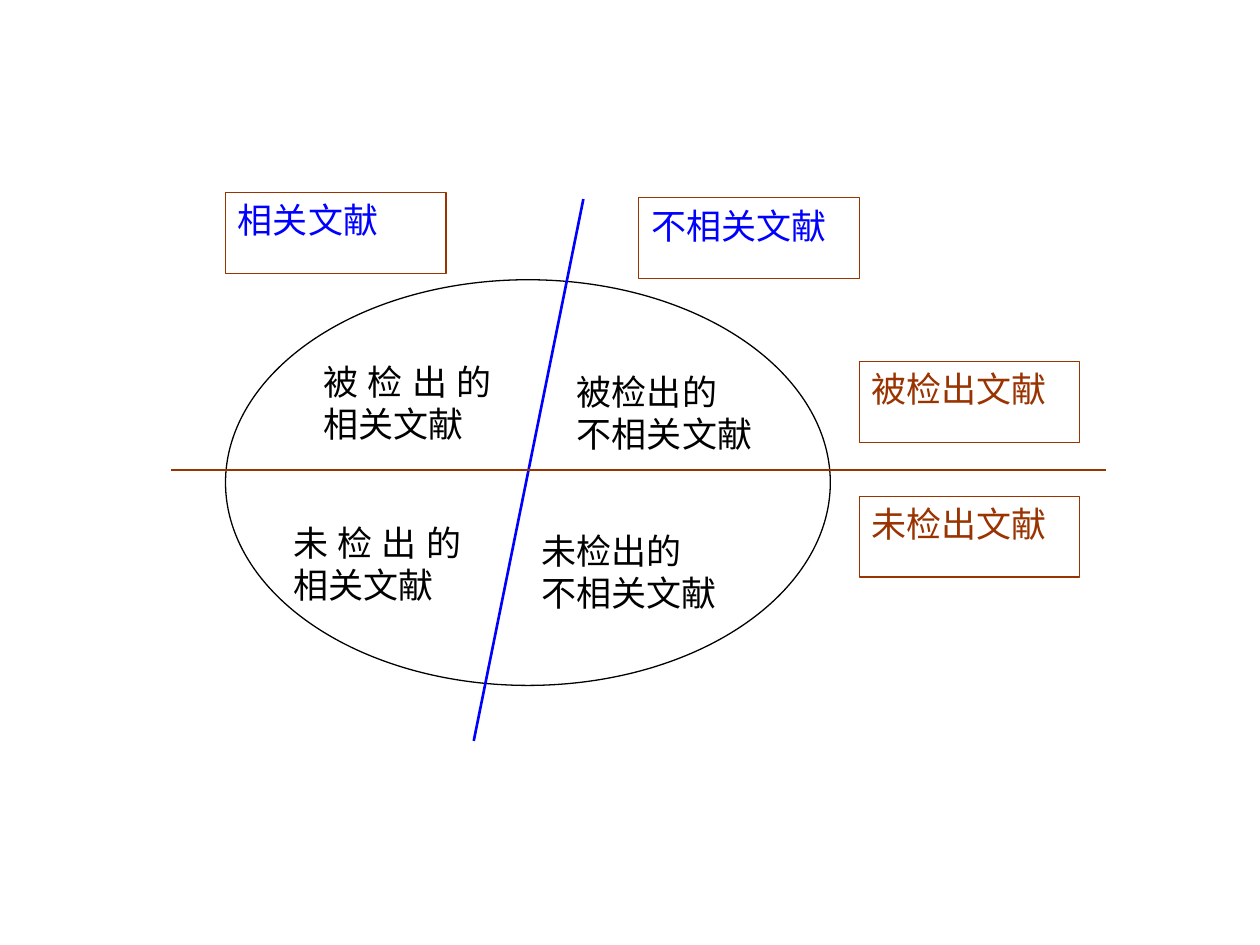
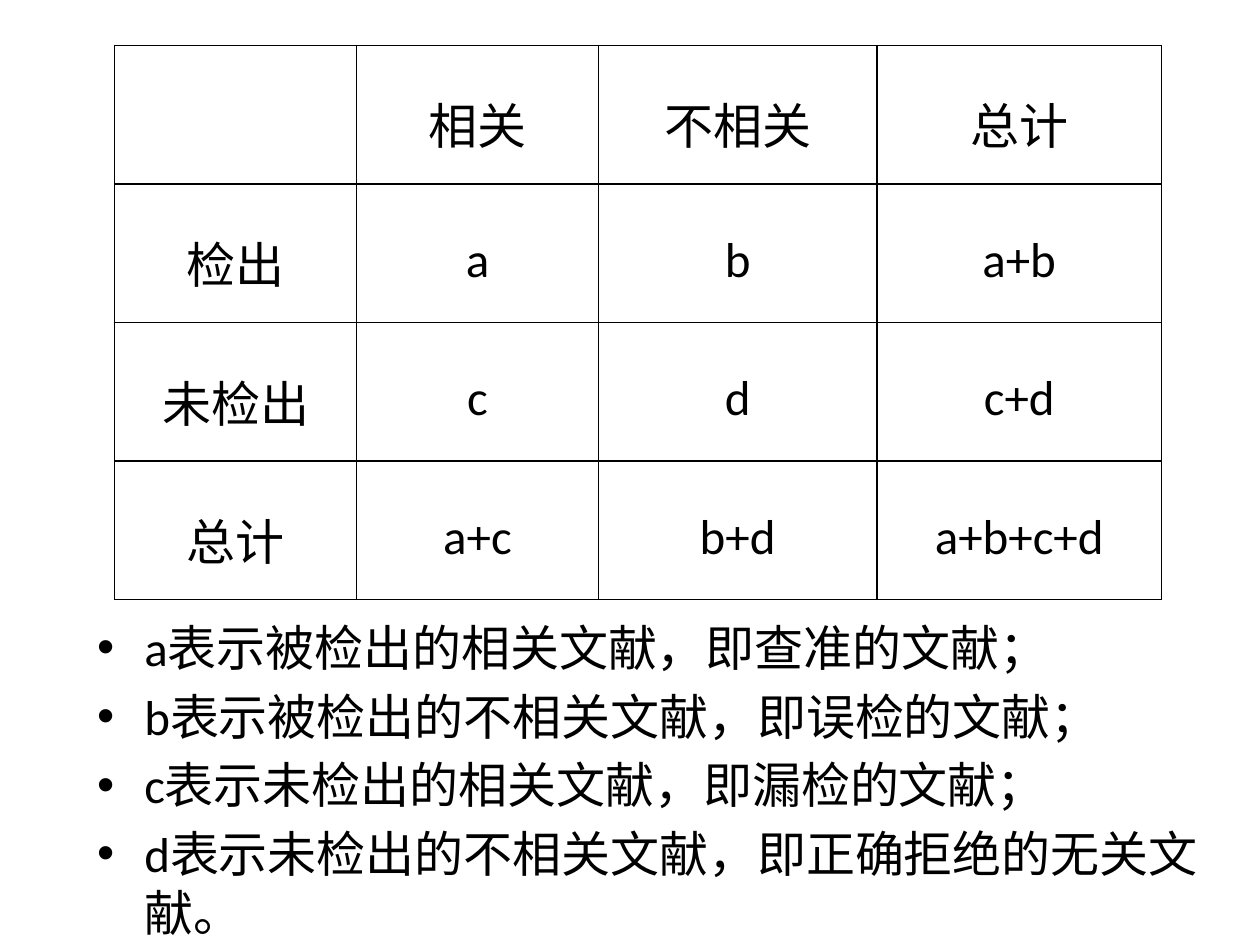
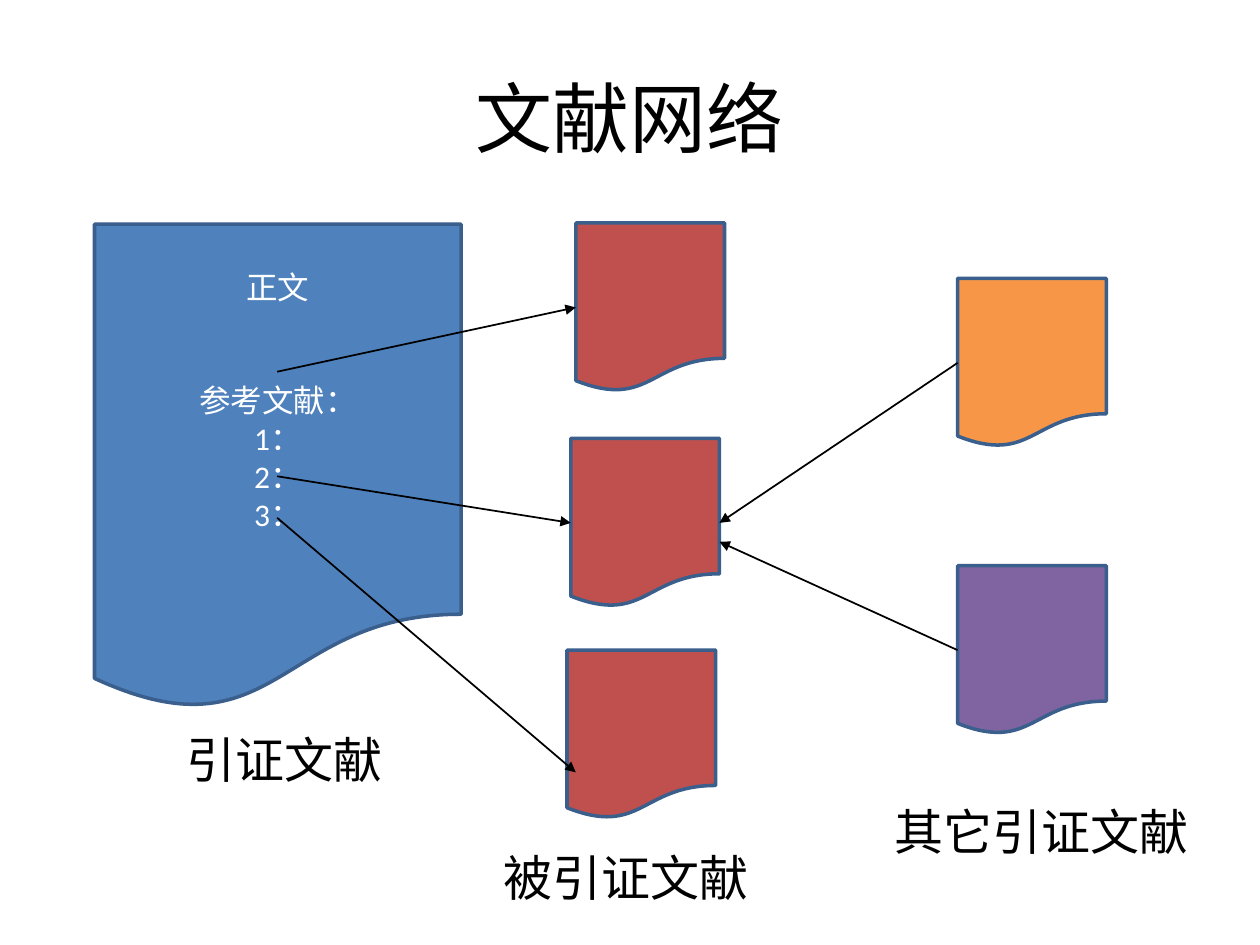
from lxml import etree
from pptx import Presentation
from pptx.dml.color import RGBColor
from pptx.enum.shapes import MSO_CONNECTOR, MSO_SHAPE
from pptx.enum.text import MSO_ANCHOR, PP_ALIGN
from pptx.oxml import parse_xml
from pptx.oxml.ns import nsdecls, qn
from pptx.util import Inches, Pt

OVAL, RECT = MSO_SHAPE.OVAL, MSO_SHAPE.RECTANGLE
DOCUMENT, STRAIGHT = MSO_SHAPE.FLOWCHART_DOCUMENT, MSO_CONNECTOR.STRAIGHT
CENTER, JUSTIFY, LEFT = PP_ALIGN.CENTER, PP_ALIGN.JUSTIFY, PP_ALIGN.LEFT
TOP, MIDDLE = MSO_ANCHOR.TOP, MSO_ANCHOR.MIDDLE

BLACK = RGBColor(0x00, 0x00, 0x00)
WHITE = RGBColor(0xFF, 0xFF, 0xFF)
BLUE = RGBColor(0x00, 0x00, 0xFF)
BROWN = RGBColor(0x99, 0x33, 0x00)
CITING_BLUE = RGBColor(0x4F, 0x81, 0xBD)
CITED_RED = RGBColor(0xC0, 0x50, 0x4D)
ORANGE = RGBColor(0xF7, 0x96, 0x46)
PURPLE = RGBColor(0x80, 0x64, 0xA2)
OUTLINE = RGBColor(0x3A, 0x5F, 0x8C)
SANS, BODY = "Arial", "Calibri"

# Slide 1: the four quadrants of a search
LABEL_SIZE = (1.75, 0.64)
ELLIPSE = (1.79, 2.22, 4.8, 3.22)
DIVIDERS = [((4.63, 1.58), (3.76, 5.88), BLUE),
            ((1.36, 3.73), (8.78, 3.73), BROWN)]
SIDE_LABELS = [
    ("被检出文献", 6.82, 2.87, BODY, BROWN),
    ("未检出文献", 6.82, 3.94, BODY, BROWN),
    ("相关文献", 1.79, 1.53, SANS, BLUE),
    ("不相关文献", 5.07, 1.57, SANS, BLUE),
]
QUADRANTS = [
    ("被检出的相关文献", 2.47, 2.81, 1.53),
    ("被检出的\n不相关文献", 4.48, 2.89, 1.81),
    ("未检出的相关文献", 2.23, 4.09, 1.53),
    ("未检出的\n不相关文献", 4.2, 4.15, 1.81),
]

# Slide 2: the contingency table and its key
COUNTS = [
    ["", "相关", "不相关", "总计"],
    ["检出", "a", "b", "a+b"],
    ["未检出", "c", "d", "c+d"],
    ["总计", "a+c", "b+d", "a+b+c+d"],
]
COLUMN_WIDTHS = [1.92, 1.92, 2.21, 2.26]
ROW_HEIGHT = 1.1
KEY = [
    "a表示被检出的相关文献，即查准的文献；",
    "b表示被检出的不相关文献，即误检的文献；",
    "c表示未检出的相关文献，即漏检的文献；",
    "d表示未检出的不相关文献，即正确拒绝的无关文献。",
]

# Slide 3: the citation network
NETWORK_TITLE = "文献网络"
CITING_TEXT = "正文\n参考文献：\n1：\n2：\n3："
CITING_BOX = (0.75, 1.78, 2.91, 3.86)
PAGE_WIDTH, PAGE_HEIGHT = 1.18, 1.34
CITED = [(4.57, 1.77), (4.53, 3.48), (4.5, 5.16)]
OTHERS = [(7.6, 2.21, ORANGE), (7.6, 4.49, PURPLE)]
REFERENCE_X = 2.2
REFERENCE_YS = [2.95, 3.78, 4.11]
CAPTIONS = [("引证文献", 1.38, 5.74, 1.81),
            ("被引证文献", 3.9, 6.68, 2.52),
            ("其它引证文献", 7, 6.31, 2.72)]


def inches(values):
    return [Inches(value) for value in values]


def style_text(frame, text, size, font, color, align=LEFT, anchor=TOP):
    frame.text = text
    frame.word_wrap = True
    frame.vertical_anchor = anchor
    for paragraph in frame.paragraphs:
        paragraph.alignment = align
        paragraph.font.size = Pt(size)
        paragraph.font.name = font
        paragraph.font.color.rgb = color


def add_box(slide, kind, box, fill, line, weight):
    shape = slide.shapes.add_shape(kind, *inches(box))
    shape.shadow.inherit = False
    shape.fill.solid()
    shape.fill.fore_color.rgb = fill
    shape.line.color.rgb = line
    shape.line.width = Pt(weight)
    return shape


def add_text(slide, text, box, size, align=LEFT):
    frame = slide.shapes.add_textbox(*inches(box)).text_frame
    style_text(frame, text, size, SANS, BLACK, align)


def add_line(slide, start, end, color, weight, arrow=False):
    line = slide.shapes.add_connector(STRAIGHT, *inches(start + end))
    line.line.color.rgb = color
    line.line.width = Pt(weight)
    properties = line._element.spPr
    if arrow:
        etree.SubElement(properties.find(qn("a:ln")), qn("a:tailEnd"), type="triangle")
    etree.SubElement(properties, qn("a:effectLst"))


def add_page(slide, left, top, fill):
    add_box(slide, DOCUMENT, (left, top, PAGE_WIDTH, PAGE_HEIGHT), fill, OUTLINE, 2)


def border_cell(cell):
    properties = cell._tc.get_or_add_tcPr()
    for index, side in enumerate(("lnL", "lnR", "lnT", "lnB")):
        properties.insert(index, parse_xml(
            f'<a:{side} {nsdecls("a")} w="{Pt(1)}"><a:solidFill>'
            f'<a:srgbClr val="{BLACK}"/></a:solidFill></a:{side}>'))


def build_quadrants(slide):
    add_box(slide, OVAL, ELLIPSE, WHITE, BLACK, 0.75)
    for start, end, color in DIVIDERS:
        add_line(slide, start, end, color, 1.5)
    for text, left, top, font, color in SIDE_LABELS:
        label = add_box(slide, RECT, (left, top, *LABEL_SIZE), WHITE, BROWN, 0.75)
        style_text(label.text_frame, text, 20, font, color, JUSTIFY)
    for text, left, top, width in QUADRANTS:
        add_text(slide, text, (left, top, width, LABEL_SIZE[1]), 20, JUSTIFY)


def build_counts(slide):
    box = (0.91, 0.36, sum(COLUMN_WIDTHS), ROW_HEIGHT * len(COUNTS))
    table = slide.shapes.add_table(len(COUNTS), len(COLUMN_WIDTHS), *inches(box)).table
    table.first_row = table.horz_banding = False
    for column, width in zip(table.columns, COLUMN_WIDTHS):
        column.width = Inches(width)
    for r, row in enumerate(COUNTS):
        for c, text in enumerate(row):
            cell = table.cell(r, c)
            cell.fill.background()
            cell.margin_left = cell.margin_right = Inches(0.07)
            cell.margin_top = cell.margin_bottom = 0
            style_text(cell.text_frame, text, 28, BODY, BLACK, CENTER)
            cell.vertical_anchor = MIDDLE
            paragraph = cell.text_frame.paragraphs[0]
            paragraph.line_spacing = 1.25
            paragraph.space_before = Pt(6)
            border_cell(cell)

    # Key under the table
    title, key = slide.placeholders
    title._element.getparent().remove(title._element)
    key.left, key.top, key.width, key.height = inches((0.67, 4.85, 9, 2.57))
    style_text(key.text_frame, "\n".join(KEY), 28, BODY, BLACK)


def build_network(slide):
    title = slide.shapes.title
    title.left, title.top, title.width, title.height = inches((0.5, 0.3, 9, 1.25))
    style_text(title.text_frame, NETWORK_TITLE, 44, BODY, BLACK, CENTER, MIDDLE)

    # Citing document, with its reference list set apart from the text
    citing = add_box(slide, DOCUMENT, CITING_BOX, CITING_BLUE, OUTLINE, 2).text_frame
    style_text(citing, CITING_TEXT, 18, BODY, WHITE, CENTER, MIDDLE)
    citing.paragraphs[1].space_before = Pt(43)
    citing.margin_bottom = Inches(0.35)

    # Cited documents and the references that lead to them
    for left, top in CITED:
        add_page(slide, left, top, CITED_RED)
    targets = [(left, top + PAGE_HEIGHT / 2) for left, top in CITED]
    targets[-1] = (4.57, 6.13)
    for y, target in zip(REFERENCE_YS, targets):
        add_line(slide, (REFERENCE_X, y), target, BLACK, 1, arrow=True)

    # Other documents that cite the middle one
    shared_left, shared_top = CITED[1]
    for (left, top, fill), drop in zip(OTHERS, (0.67, 0.82)):
        add_page(slide, left, top, fill)
        add_line(slide, (left, top + PAGE_HEIGHT / 2),
                 (shared_left + PAGE_WIDTH, shared_top + drop), BLACK, 1, arrow=True)

    for text, left, top, width in CAPTIONS:
        add_text(slide, text, (left, top, width, 0.57), 28)


def main():
    deck = Presentation()
    deck.slide_width, deck.slide_height = inches((10, 7.5))
    # Layouts: 6 blank, 1 title and content, 5 title only
    for layout, build in ((6, build_quadrants), (1, build_counts), (5, build_network)):
        build(deck.slides.add_slide(deck.slide_layouts[layout]))
    deck.save("out.pptx")


if __name__ == "__main__":
    main()
